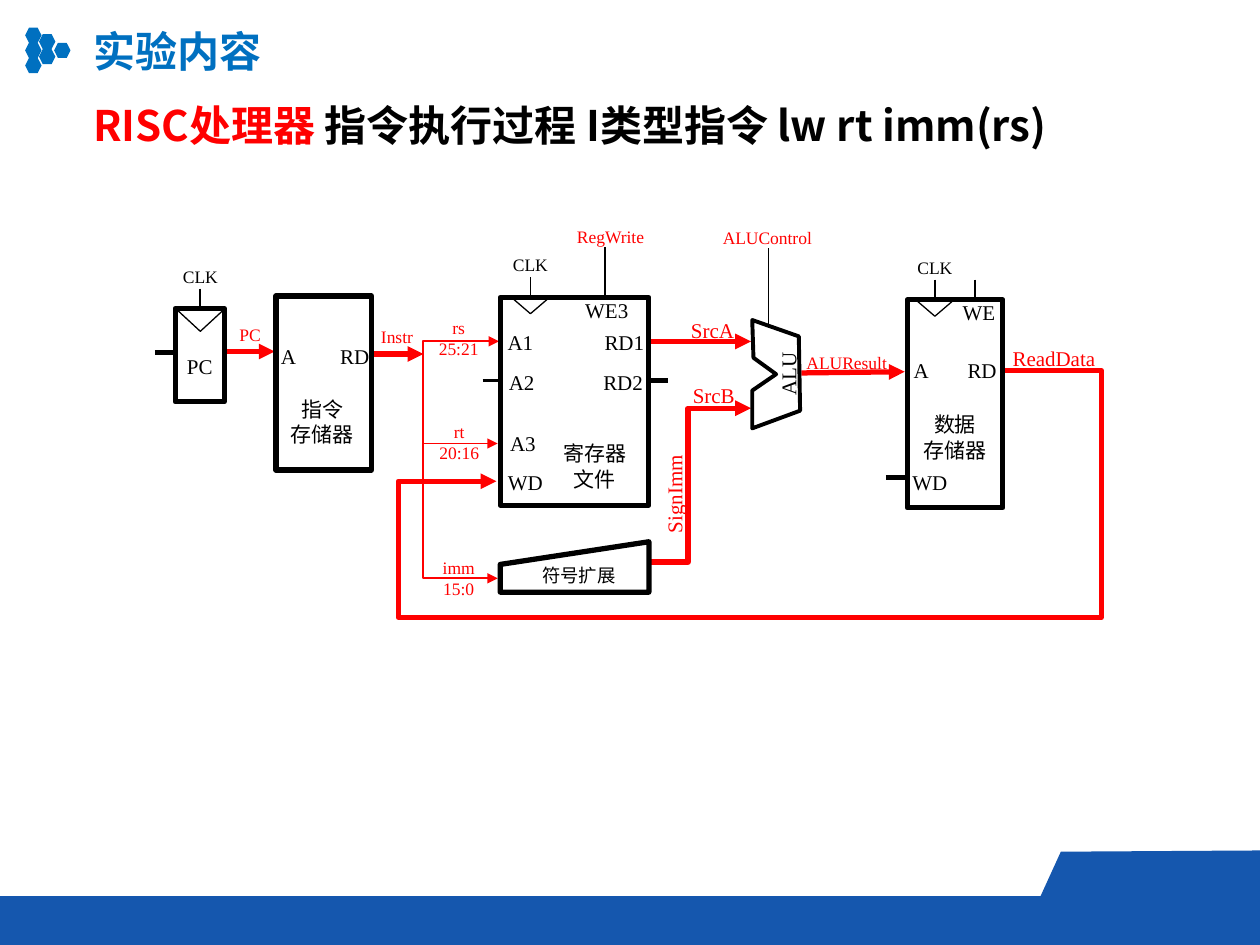
from dataclasses import dataclass
from typing import Any

from lxml import etree
from pptx import Presentation
from pptx import util as u
from pptx.dml.color import RGBColor
from pptx.enum import shapes, text
from pptx.oxml import ns

INCH = 2.54  # the layout grid counts in inches, placed in centimetres


@dataclass(frozen=True)
class Theme:
    title_blue: str = "0070C0"
    footer_blue: str = "1557AE"
    signal: str = "FF0000"
    ink: str = "000000"
    sans: str = "Noto Sans CJK SC"
    serif: str = "Times New Roman"
    heading: float = 24
    port: float = 12
    small: float = 10
    extender: float = 10.5
    bold_line: float = 3
    thin_line: float = 1


THEME = Theme()


def cm(value):
    return u.Cm(value * INCH)


def set_values(target, values):
    for name, value in values.items():
        setattr(target, name, value)


def add_xml(parent, tag, **values):
    return etree.SubElement(parent, ns.qn(tag), values)


def paint(shape, fill=None, line=None, weight=0.0):
    shape.shadow.inherit = False
    if fill:
        shape.fill.solid()
        shape.fill.fore_color.rgb = RGBColor.from_string(fill)
    else:
        shape.fill.background()
    if line:
        shape.line.color.rgb = RGBColor.from_string(line)
        shape.line.width = u.Pt(weight)
    else:
        shape.line.fill.background()


@dataclass
class Box:
    """An area of the page; all parts are placed from its top left corner."""
    page: Any
    left: float
    top: float
    width: float
    height: float

    def inner(self, x, y, width, height):
        return Box(self.page, self.left + x, self.top + y, width, height)

    def point(self, x, y):
        return cm(self.left + x), cm(self.top + y)

    def shape(self, kind, x, y, width, height, **look):
        shape = self.page.shapes.add_shape(kind, *self.point(x, y), cm(width), cm(height))
        paint(shape, **look)
        return shape

    def outline(self, points, **look):
        start, *rest = [self.point(*point) for point in points]
        builder = self.page.shapes.build_freeform(*start)
        builder.add_line_segments(rest, close=True)
        paint(builder.convert_to_shape(), **look)

    def label(self, words, x, y, width, size=THEME.port, color=THEME.ink, font=THEME.serif,
              inset=True, height=None, rotation=0, wrap=True, bold=False, align="CENTER"):
        """Words are one string, or a list of (string, color) spans."""
        spans = [(words, color)] if isinstance(words, str) else words
        rows = spans[0][0].count("\n") + 1
        height = height or rows * size / 60 + 0.1 * inset
        box = self.page.shapes.add_textbox(*self.point(x, y), cm(width), cm(height))
        box.rotation = rotation
        frame = box.text_frame
        set_values(frame, {"word_wrap": wrap, "auto_size": text.MSO_AUTO_SIZE.SHAPE_TO_FIT_TEXT})
        if not inset:
            set_values(frame, {f"margin_{side}": 0 for side in ("left", "top", "right", "bottom")})
        para = frame.paragraphs[0]
        for part, span_color in spans:
            for row, line in enumerate(part.split("\n")):
                para = frame.add_paragraph() if row else para
                para.alignment = getattr(text.PP_ALIGN, align)
                span = para.add_run()
                span.text = line
                set_values(span.font, {"size": u.Pt(size), "name": font, "bold": bold})
                span.font.color.rgb = RGBColor.from_string(span_color)
                add_xml(span.font._element, "a:ea", typeface=THEME.sans)

    def wire(self, begin, end, color=THEME.signal, weight=THEME.bold_line, turns=(), arrow="tail"):
        """Turns are the x, y, x... values at which an elbow wire bends."""
        kind = shapes.MSO_CONNECTOR.ELBOW if turns else shapes.MSO_CONNECTOR.STRAIGHT
        wire = self.page.shapes.add_connector(kind, *self.point(*begin), *self.point(*end))
        wire.line.color.rgb = RGBColor.from_string(color)
        wire.line.width = u.Pt(weight)
        props = wire._element.spPr
        if turns:
            preset = props.find(ns.qn("a:prstGeom"))
            preset.set("prst", f"bentConnector{len(turns) + 2}")
            guides = preset.find(ns.qn("a:avLst"))
            for i, turn in enumerate(turns):
                axis = i % 2
                share = (turn - begin[axis]) / (end[axis] - begin[axis])
                add_xml(guides, "a:gd", name=f"adj{i + 1}", fmla=f"val {round(share * 100000)}")
        if arrow:
            add_xml(wire.line._get_or_add_ln(), f"a:{arrow}End", type="triangle")
        add_xml(props, "a:effectLst")

    def stub(self, begin, end, weight=THEME.thin_line):
        self.wire(begin, end, THEME.ink, weight, arrow=None)


def header(box):
    # Honeycomb mark
    for x, y, count in ((0, 0.07, 3), (0.11, 0.12, 2), (0.23, 0.19, 1)):
        for row in range(count):
            box.shape(shapes.MSO_SHAPE.HEXAGON, x, y + 0.12 * row, 0.13, 0.12,
                      fill=THEME.title_blue)
    # Title and subject
    style = {"size": THEME.heading, "font": THEME.sans, "bold": True, "align": "LEFT"}
    box.label("实验内容", 0.44, 0, 1.55, color=THEME.title_blue, wrap=False, **style)
    box.label([("RISC处理器 ", THEME.signal), ("指令执行过程 I类型指令 lw rt imm(rs)", THEME.ink)],
              0.44, 0.59, 8.85, **style)


def footer(box):
    band = 0.39
    shoulder = box.height - band
    box.shape(shapes.MSO_SHAPE.FLOWCHART_PROCESS, 0, shoulder, box.width, band,
              fill=THEME.footer_blue)
    box.outline([(10, shoulder), (10, 0), (8.42, 0.01), (8.26, shoulder)], fill=THEME.footer_blue)


def block(box, ports, clock=None, name=None, stubs=()):
    """A unit with port labels; clock gives the notch centre, top, width and height."""
    box.shape(shapes.MSO_SHAPE.RECTANGLE, 0, 0, box.width, box.height,
              line=THEME.ink, weight=THEME.bold_line)
    if clock:
        centre, top, width, height = clock
        notch = box.shape(shapes.MSO_SHAPE.ISOSCELES_TRIANGLE, centre - width / 2, top,
                          width, height, line=THEME.ink, weight=0.75)
        notch._element.spPr.find(ns.qn("a:xfrm")).set("flipV", "1")
        box.stub((centre, -0.16), (centre, 0))
        box.label("CLK", centre - 0.2, -0.34, 0.4, THEME.small, inset=False)
    for port in ports:
        box.label(*port)
    if name:
        words, x, y, height = name
        box.label(words, x, y, 0.8, font=THEME.sans, height=height)
    for stub in stubs:
        box.stub(*stub)


def extender(box):
    box.outline([(0, 0.18), (box.width, 0), (box.width, box.height), (0, box.height)],
                line=THEME.ink, weight=THEME.bold_line)
    box.label("符号扩展", 0.11, 0.13, 1.03, THEME.extender)


def alu(box):
    box.outline([(0, 0), (0.37, 0.13), (0.38, 0.72), (0, 0.86), (0, 0.56), (0.19, 0.43),
                 (0.01, 0.3)], line=THEME.ink, weight=2.25)
    box.label("ALU", -0.04, 0.28, 0.65, rotation=270)
    box.stub((0.13, -0.57), (0.13, 0.06))


def units(box):
    bold = THEME.bold_line
    block(box.inner(0.39, 1.45, 0.39, 0.74), [("PC", -0.03, 0.31, 0.45)],
          clock=(0.2, 0, 0.39, 0.18), stubs=[((-0.16, 0.35), (0, 0.35), bold)])
    block(box.inner(1.19, 1.35, 0.76, 1.38),
          [("A", -0.06, 0.33, 0.32), ("RD", 0.39, 0.33, 0.47)],
          name=("指令\n存储器", -0.03, 0.75, 0.38))
    block(box.inner(2.97, 1.36, 1.18, 1.65),
          [("A1", -0.05, 0.21, 0.42), ("A2", -0.04, 0.52, 0.42), ("A3", -0.03, 1.01, 0.42),
           ("WD", -0.08, 1.32, 0.56), ("WE3", 0.52, -0.05, 0.65),
           ("RD1", 0.71, 0.21, 0.55), ("RD2", 0.7, 0.52, 0.55)],
          clock=(0.24, 0.01, 0.28, 0.12), name=("寄存器文件", 0.35, 1.09, 0.5),
          stubs=[((1.17, 0.66), (1.33, 0.66), bold), ((-0.14, 0.66), (0.02, 0.66), 1.5),
                 ((0.83, -0.4), (0.83, 0))])
    block(box.inner(6.2, 1.38, 0.76, 1.65),
          [("A", -0.05, 0.41, 0.32), ("WE", 0.31, -0.05, 0.52), ("RD", 0.36, 0.41, 0.47),
           ("WD", -0.1, 1.3, 0.56)],
          clock=(0.22, 0.01, 0.28, 0.12), name=("数据\n存储器", -0.02, 0.84, 0.5),
          stubs=[((-0.17, 1.41), (-0.01, 1.41), bold), ((0.54, -0.16), (0.54, 0))])
    extender(box.inner(2.97, 3.3, 1.18, 0.4))
    alu(box.inner(4.97, 1.54, 0.38, 0.86))


def signals(box):
    # Straight data wires
    for begin, end in (((0.78, 1.79), (1.18, 1.79)), ((1.97, 1.81), (2.36, 1.81)),
                       ((4.17, 1.71), (4.96, 1.71)), ((5.36, 1.96), (6.18, 1.95))):
        box.wire(begin, end)
    # Instruction fields
    thin = THEME.thin_line
    box.wire((2.35, 1.81), (2.96, 1.71), weight=thin, turns=[2.36])
    box.wire((2.36, 2.52), (2.95, 2.52), weight=thin)
    box.wire((2.36, 1.79), (2.95, 3.59), weight=thin, turns=[2.36])
    # Immediate operand and write-back
    box.wire((4.17, 3.46), (4.96, 2.24), turns=[4.46])
    box.wire((2.94, 2.82), (6.98, 1.94), turns=[2.16, 3.9, 7.74], arrow="head")
    # Signal names
    for words, x, y, width in (("PC", 0.76, 1.52, 0.45), ("Instr", 1.89, 1.54, 0.52),
                               ("rs\n25:21", 2.38, 1.47, 0.52), ("rt\n20:16", 2.38, 2.29, 0.53),
                               ("imm\n15:0", 2.38, 3.37, 0.52)):
        box.label(words, x, y, width, THEME.small, THEME.signal)
    for words, x, y, width in (("RegWrite", 3.45, 0.79, 0.79), ("ALUControl", 4.64, 0.8, 0.9),
                               ("ALUResult", 5.27, 1.79, 0.9)):
        box.label(words, x, y, width, THEME.small, THEME.signal, inset=False)
    for words, x, y, width, turn in (("SrcA", 4.33, 1.47, 0.65, 0), ("SrcB", 4.34, 1.99, 0.65, 0),
                                     ("ReadData", 6.88, 1.69, 0.97, 0),
                                     ("SignImm", 3.94, 2.77, 0.82, 270)):
        box.label(words, x, y, width, color=THEME.signal, rotation=turn)


def main():
    deck = Presentation()
    set_values(deck, {"slide_width": cm(10), "slide_height": cm(7.5)})
    page = deck.slides.add_slide(deck.slide_layouts[6])
    header(Box(page, 0.2, 0.15, 9.3, 1.1))
    footer(Box(page, 0, 6.75, 10, 0.75))
    diagram = Box(page, 1, 1, 8, 4)
    signals(diagram)
    units(diagram)
    deck.save("out.pptx")


if __name__ == "__main__":
    main()
